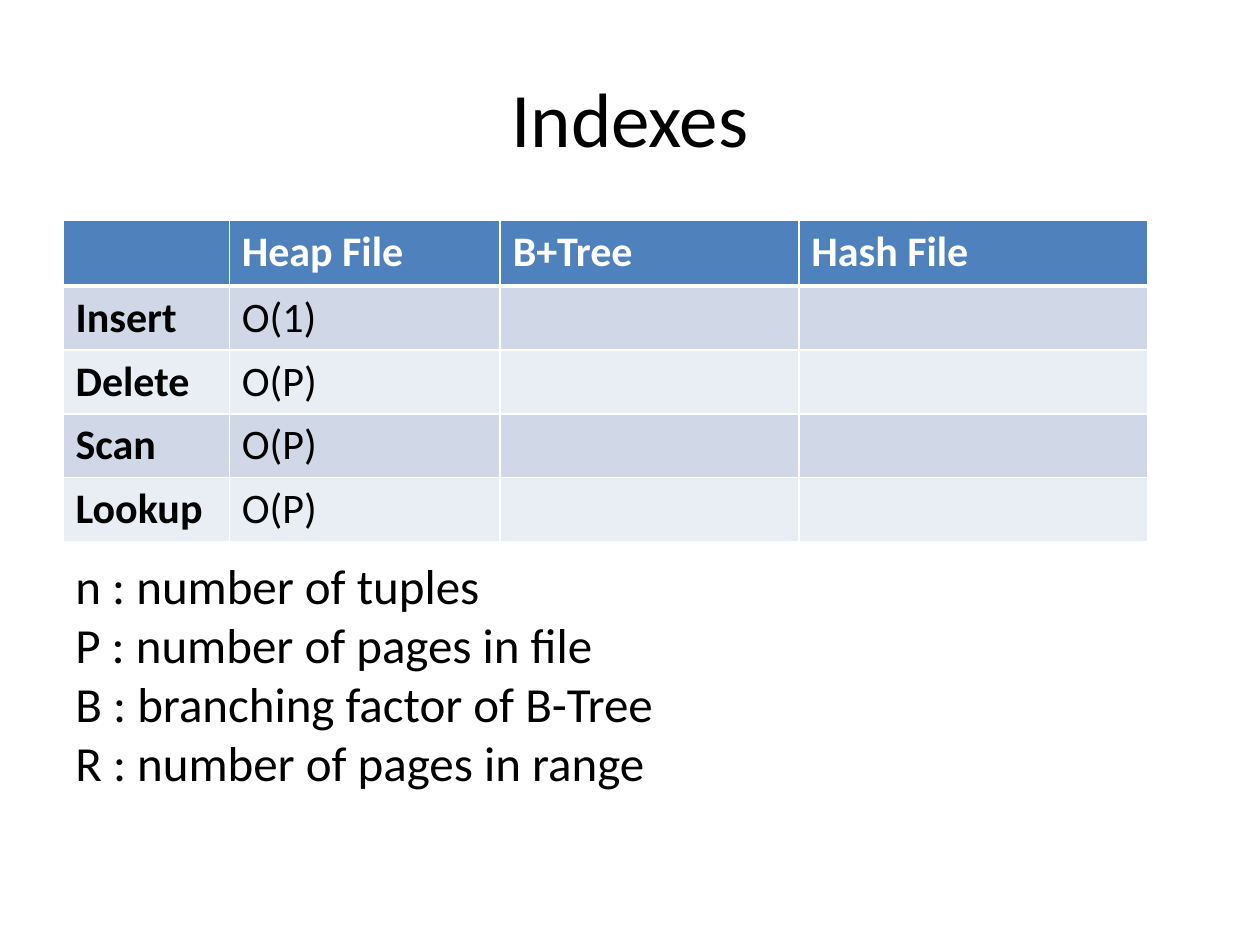
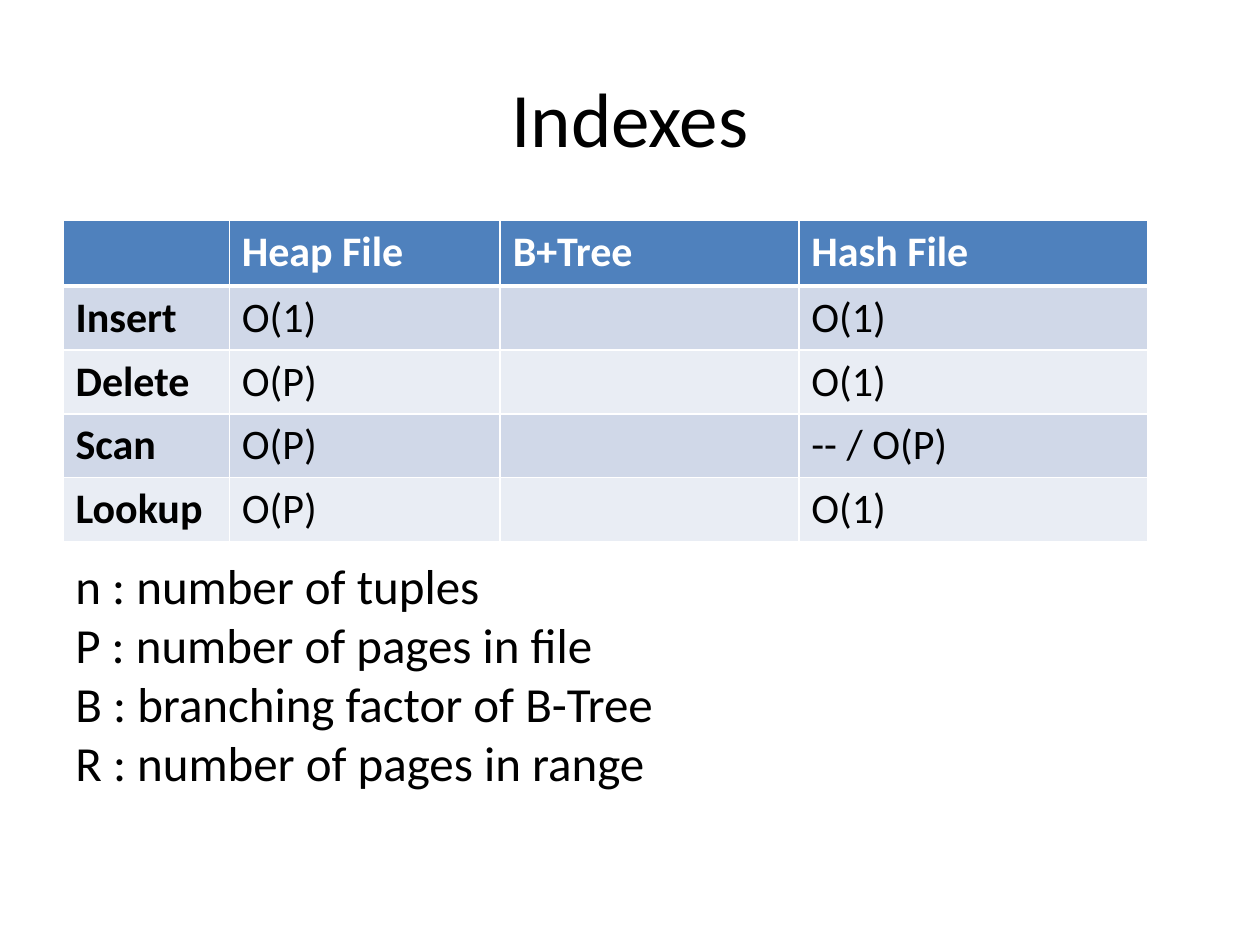
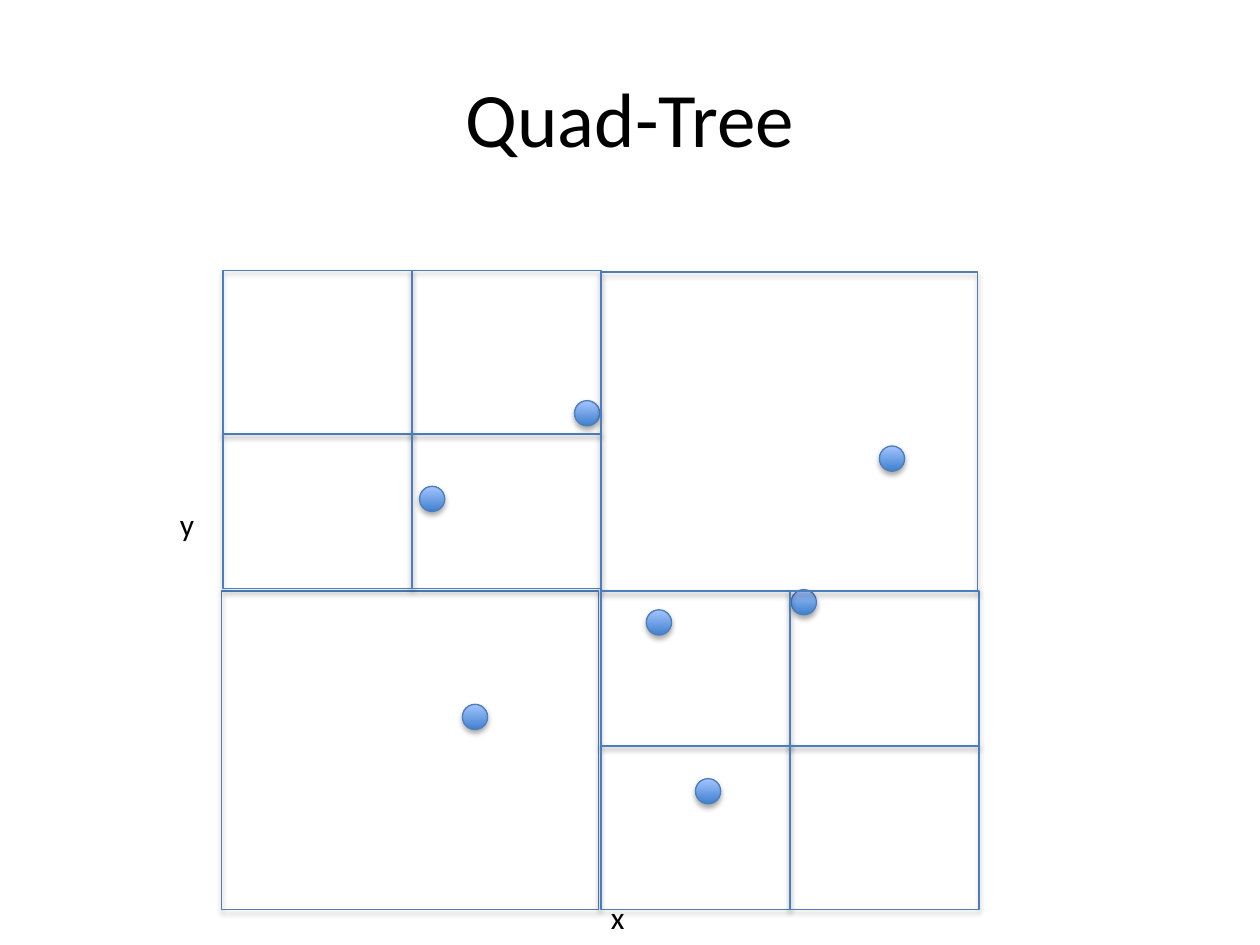
from pptx import Presentation
from pptx.dml.color import RGBColor
from pptx.enum.shapes import MSO_SHAPE
from pptx.enum.text import MSO_ANCHOR, MSO_AUTO_SIZE, PP_ALIGN
from pptx.oxml import parse_xml
from pptx.oxml.ns import nsdecls
from pptx.util import Inches, Pt

RECTANGLE, ELLIPSE = MSO_SHAPE.RECTANGLE, MSO_SHAPE.OVAL
MIDDLE, CENTER = MSO_ANCHOR.MIDDLE, PP_ALIGN.CENTER
FIT_SHAPE = MSO_AUTO_SIZE.SHAPE_TO_FIT_TEXT

# Shared colours and text formats
BLACK = RGBColor(0x00, 0x00, 0x00)
WHITE = RGBColor(0xFF, 0xFF, 0xFF)
HEADER_BLUE = RGBColor(0x4F, 0x81, 0xBD)
DARK_BAND = RGBColor(0xD0, 0xD8, 0xE8)
LIGHT_BAND = RGBColor(0xE9, 0xED, 0xF4)
OUTLINE_BLUE = RGBColor(0x4B, 0x7E, 0xBC)
DOT_COLORS = [RGBColor(0x3F, 0x80, 0xCE), RGBColor(0xA4, 0xC4, 0xFF)]

TITLE_FONT = {"name": "Calibri", "size": Pt(44)}
LEGEND_FONT = {"name": "Calibri", "size": Pt(28)}
AXIS_FONT = {"name": "Calibri", "size": Pt(18)}
HEADING_FONT = {"name": "Calibri", "size": Pt(24), "bold": True}
COST_FONT = {"name": "Calibri", "size": Pt(24), "bold": False}

SHADOW = (
    f'<a:effectLst {nsdecls("a")}>'
    '<a:outerShdw blurRad="40000" dist="23000" dir="5400000" rotWithShape="0">'
    '<a:srgbClr val="000000"><a:alpha val="35000"/></a:srgbClr>'
    '</a:outerShdw></a:effectLst>'
)


def write_text(text_frame, text, font_values, color=BLACK):
    text_frame.word_wrap = True
    text_frame.text = text
    for paragraph in text_frame.paragraphs:
        for name, value in font_values.items():
            setattr(paragraph.font, name, value)
        paragraph.font.color.rgb = color


def add_outlined(slide, kind, left, top, width, height):
    shape = slide.shapes.add_shape(
        kind, Inches(left), Inches(top), Inches(width), Inches(height))
    shape.fill.background()
    shape.line.color.rgb = OUTLINE_BLUE
    shape.line.width = Pt(0.75)
    shape._element.spPr.append(parse_xml(SHADOW))
    return shape


presentation = Presentation()
presentation.slide_width, presentation.slide_height = Inches(10), Inches(7.5)
title_only = presentation.slide_layouts[5]

# Slides with their titles
slides = []
for title_text in ["Indexes", "Indexes", "Quad-Tree"]:
    slide = presentation.slides.add_slide(title_only)
    title = slide.shapes.title
    title.left, title.top = Inches(0.5), Inches(0.3)
    title.width, title.height = Inches(9), Inches(1.25)
    write_text(title.text_frame, title_text, TITLE_FONT)
    title.text_frame.vertical_anchor = MIDDLE
    title.text_frame.paragraphs[0].alignment = CENTER
    slides.append(slide)
heap_slide, hash_slide, quad_slide = slides

# Index costs: the second table also fills in the hash file column
COLUMN_WIDTHS = [1.32, 2.15, 2.37, 2.77]
ROW_HEIGHTS = [0.52] + [0.5] * 4
HEADINGS = ["", "Heap File", "B+Tree", "Hash File"]
OPERATIONS = ["Insert", "Delete", "Scan", "Lookup"]
HEAP_COSTS = ["O(1)", "O(P)", "O(P)", "O(P)"]
UNKNOWN_COSTS = [""] * 4
HASH_COSTS = ["O(1)", "O(1)", "-- / O(P)", "O(1)"]
LEGEND = "\n".join([
    "n : number of tuples",
    "P : number of pages in file",
    "B : branching factor of B-Tree",
    "R : number of pages in range",
])

for slide, hash_costs in [(heap_slide, UNKNOWN_COSTS), (hash_slide, HASH_COSTS)]:
    rows = [HEADINGS, *zip(OPERATIONS, HEAP_COSTS, UNKNOWN_COSTS, hash_costs)]
    table = slide.shapes.add_table(
        len(rows), len(HEADINGS), Inches(0.5), Inches(1.75),
        Inches(sum(COLUMN_WIDTHS)), Inches(sum(ROW_HEIGHTS))).table
    for column, width in zip(table.columns, COLUMN_WIDTHS):
        column.width = Inches(width)
    for row, height in zip(table.rows, ROW_HEIGHTS):
        row.height = Inches(height)

    for row_index, row_texts in enumerate(rows):
        # Row style: the line between header and body is thicker
        is_header = row_index == 0
        text_color = WHITE if is_header else BLACK
        band = DARK_BAND if row_index % 2 else LIGHT_BAND
        fill_color = HEADER_BLUE if is_header else band
        border_widths = {"lnL": 1, "lnR": 1,
                         "lnT": 3 if row_index == 1 else 1,
                         "lnB": 3 if is_header else 1}

        for column_index, text in enumerate(row_texts):
            cell = table.cell(row_index, column_index)
            is_heading = is_header or column_index == 0
            font_values = HEADING_FONT if is_heading else COST_FONT
            write_text(cell.text_frame, text, font_values, text_color)
            cell_properties = cell._tc.get_or_add_tcPr()
            for edge, width in border_widths.items():
                cell_properties.append(parse_xml(
                    f'<a:{edge} {nsdecls("a")} w="{Pt(width)}"><a:solidFill>'
                    f'<a:srgbClr val="{WHITE}"/></a:solidFill></a:{edge}>'))
            cell.fill.solid()
            cell.fill.fore_color.rgb = fill_color

    legend = slide.shapes.add_textbox(
        Inches(0.5), Inches(4.36), Inches(6.42), Inches(1.99))
    write_text(legend.text_frame, LEGEND, LEGEND_FONT)
    legend.text_frame.auto_size = FIT_SHAPE

# Quad-tree points
DOT_SIZE = 0.2
POINTS = [(3.33, 3.86), (5.13, 4.84), (4.56, 3.18), (6.98, 3.54),
          (6.28, 4.68), (3.67, 5.59), (5.52, 6.18)]
for left, top in POINTS:
    dot = add_outlined(quad_slide, ELLIPSE, left, top, DOT_SIZE, DOT_SIZE)
    dot.fill.gradient()
    dot.fill.gradient_angle = 90
    for stop, color in zip(dot.fill.gradient_stops, DOT_COLORS):
        stop.color.rgb = color

# Axis labels
for label, left, top in [("x", 4.75, 7.08), ("y", 1.33, 3.96)]:
    axis_label = quad_slide.shapes.add_textbox(
        Inches(left), Inches(top), Inches(0.41), Inches(0.4))
    write_text(axis_label.text_frame, label, AXIS_FONT)
    axis_label.text_frame.auto_size = FIT_SHAPE

# Undivided quadrants: top right and bottom left
for left, top in [(4.77, 2.16), (1.76, 4.69)]:
    add_outlined(quad_slide, RECTANGLE, left, top, 2.99, 2.53)

# Divided quadrants: top left and bottom right, each two by two cells
CELL_WIDTH = 1.5
DIVIDED_QUADRANTS = [
    (1.77, [(2.15, 1.3), (3.44, 1.23)]),
    (4.77, [(4.69, 1.23), (5.92, 1.3)]),
]
for quadrant_left, cell_rows in DIVIDED_QUADRANTS:
    for top, height in cell_rows:
        for column_index in range(2):
            left = quadrant_left + column_index * CELL_WIDTH
            add_outlined(quad_slide, RECTANGLE, left, top, CELL_WIDTH, height)

presentation.save("out.pptx")
